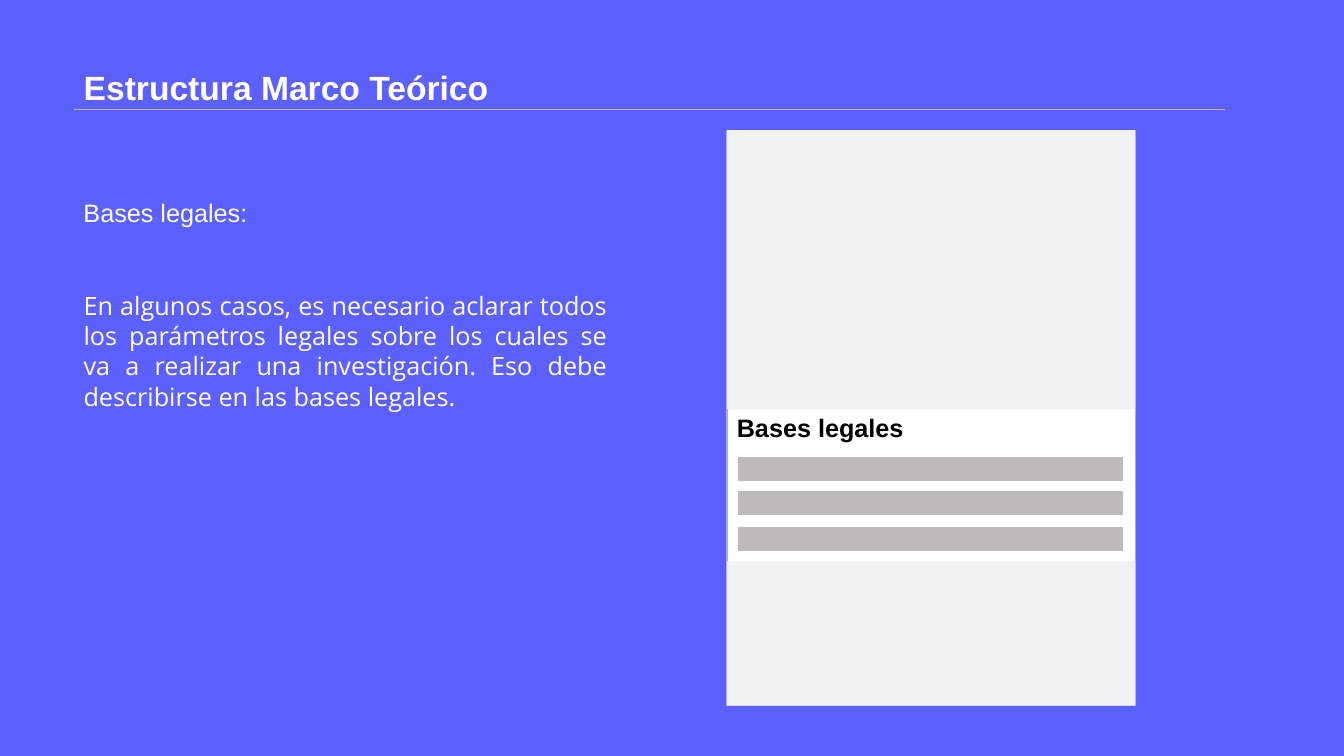
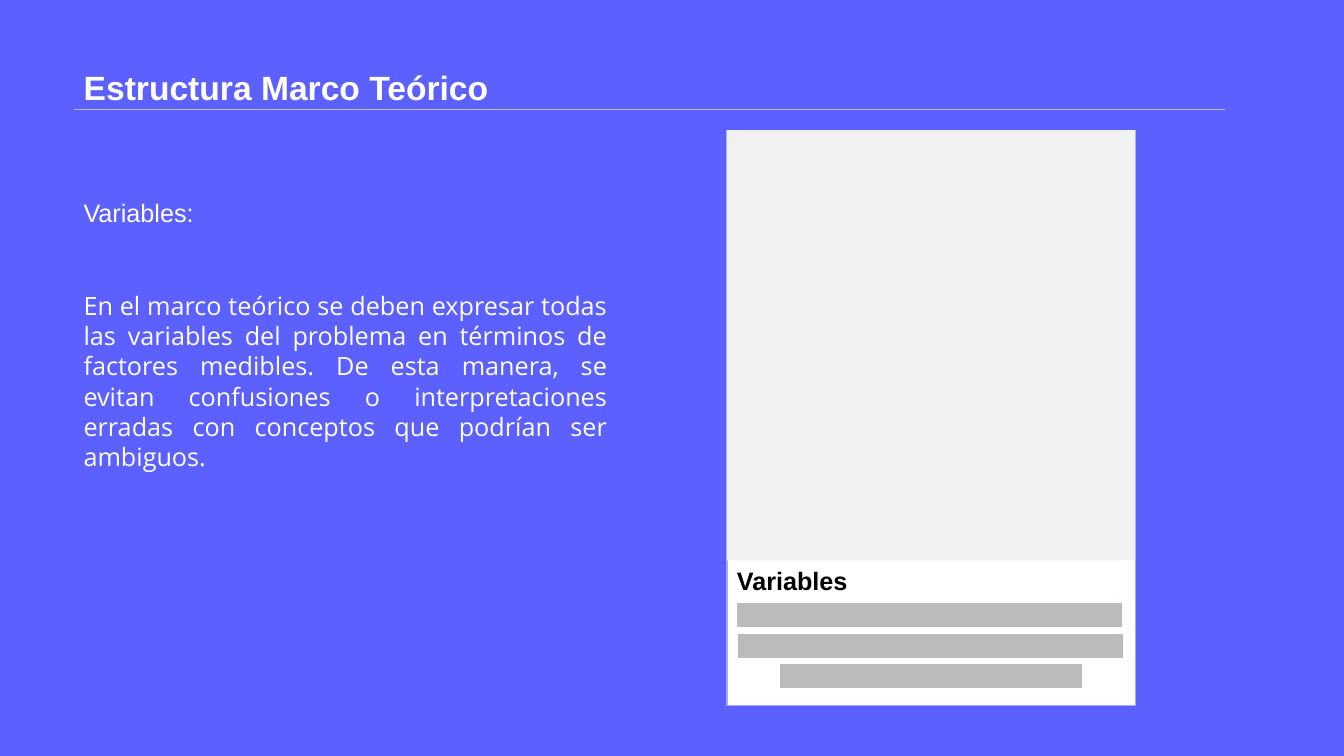
import pptx
import pptx.dml.color
import pptx.enum.shapes
import pptx.enum.text
import pptx.oxml
import pptx.oxml.ns
import pptx.util

EMU_PER_PX = 9144  # 100 px to the inch

COLORS = {
    "background": "5C60FF",
    "white": "FFFFFF",
    "black": "000000",
    "page_edge": "A5A8FF",
    "bar": "BCBABB",
    "cover": "F2F1F1",
}
HEADING_FONT = "Arial"
BODY_FONT = "Open Sans"

LEFT = 73
PAGE_LEFT, PAGE_TOP, PAGE_WIDTH, PAGE_HEIGHT = 721, 130, 405, 570
BAR_HEIGHT = 26

SECTIONS = [
    {
        "name": "Bases legales",
        "label_width": 184,
        "body": "En algunos casos, es necesario aclarar todos los parámetros legales "
                "sobre los cuales se va a realizar una investigación. Eso debe "
                "describirse en las bases legales.",
        "body_height": 131,
        "heading": (404, 187),
        "bars": [(731, 452, 384), (731, 486, 384), (731, 522, 384)],
        "covers": [(557, 143), (129, 277)],
    },
    {
        "name": "Variables",
        "label_width": 131,
        "body": "En el marco teórico se deben expresar todas las variables del "
                "problema en términos de factores medibles. De esta manera, se "
                "evitan confusiones o interpretaciones erradas con conceptos que "
                "podrían ser ambiguos.",
        "body_height": 192,
        "heading": (556, 131),
        "bars": [(730, 597, 384), (731, 628, 384), (773, 658, 301)],
        "covers": [(129, 427)],
    },
]


def px(length):
    return pptx.util.Emu(length * EMU_PER_PX)


def color(name):
    return pptx.dml.color.RGBColor.from_string(COLORS[name])


class Deck:
    """Holds the shared style and the slide being drawn."""

    def __init__(self):
        self.presentation = pptx.Presentation()
        self.presentation.slide_width = px(1333)
        self.presentation.slide_height = px(750)
        fill = self.presentation.slide_master.background.fill
        fill.solid()
        fill.fore_color.rgb = color("background")
        self.slide = None

    def add_slide(self, title):
        layout = self.presentation.slide_layouts.get_by_name("Title Only")
        self.slide = self.presentation.slides.add_slide(layout)
        shape = self.slide.shapes.title
        shape.left, shape.top, shape.width, shape.height = map(px, (LEFT, 0, 1187, 112))
        frame = shape.text_frame
        frame.auto_size = pptx.enum.text.MSO_AUTO_SIZE.NONE
        frame.vertical_anchor = pptx.enum.text.MSO_ANCHOR.BOTTOM
        paragraph = self.fill_frame(frame, title, size=24, bold=True)
        paragraph.alignment = pptx.enum.text.PP_ALIGN.LEFT
        paragraph.line_spacing = 0.9

    def fill_frame(self, frame, text, size=18, bold=False, ink="white", font=HEADING_FONT):
        paragraph = frame.paragraphs[0]
        paragraph.text = text
        paragraph.font.name = font
        paragraph.font.size = pptx.util.Pt(size)
        paragraph.font.bold = bold
        paragraph.font.color.rgb = color(ink)
        return paragraph

    def text(self, left, top, width, height, text, wrap=False, **style):
        box = self.slide.shapes.add_textbox(*map(px, (left, top, width, height)))
        frame = box.text_frame
        frame.word_wrap = wrap
        frame.auto_size = pptx.enum.text.MSO_AUTO_SIZE.SHAPE_TO_FIT_TEXT
        return self.fill_frame(frame, text, **style)

    def rectangle(self, left, top, width, height, fill, line=None, line_width=1):
        shape = self.slide.shapes.add_shape(
            pptx.enum.shapes.MSO_SHAPE.RECTANGLE, *map(px, (left, top, width, height)))
        shape.shadow.inherit = False
        shape.fill.solid()
        shape.fill.fore_color.rgb = color(fill)
        if line:
            shape.line.color.rgb = color(line)
            shape.line.width = pptx.util.Pt(line_width)
        else:
            shape.line.fill.background()

    def rule(self, left, right, top):
        connector = self.slide.shapes.add_connector(
            pptx.enum.shapes.MSO_CONNECTOR.STRAIGHT, *map(px, (left, top, right, top)))
        connector.line.color.rgb = color("bar")
        connector.line.width = pptx.util.Pt(0.5)
        properties = connector._element.spPr
        properties.append(pptx.oxml.parse_xml(
            f"<a:effectLst {pptx.oxml.ns.nsdecls('a')}/>"))

    def page(self, name, heading, bars, covers):
        """Draw a sketched page that reveals one section and covers the rest."""
        self.rectangle(PAGE_LEFT, PAGE_TOP, PAGE_WIDTH, PAGE_HEIGHT, "white", "page_edge")
        heading_top, heading_width = heading
        self.text(PAGE_LEFT, heading_top, heading_width, 40, name, bold=True, ink="black")
        for left, top, width in bars:
            self.rectangle(left, top, width, BAR_HEIGHT, "bar", "white", 1.5)
        for top, height in covers:
            self.rectangle(PAGE_LEFT, top, PAGE_WIDTH, height, "cover")

    def section(self, section):
        self.add_slide("Estructura Marco Teórico")
        self.page(section["name"], section["heading"], section["bars"], section["covers"])
        self.rule(LEFT, 1215, 109)
        self.text(LEFT, 191, section["label_width"], 40, section["name"] + ":")
        body = self.text(LEFT, 283, 539, section["body_height"], section["body"],
                         wrap=True, font=BODY_FONT)
        body.alignment = pptx.enum.text.PP_ALIGN.JUSTIFY


def main():
    deck = Deck()
    for section in SECTIONS:
        deck.section(section)
    deck.presentation.save("out.pptx")


if __name__ == "__main__":
    main()
